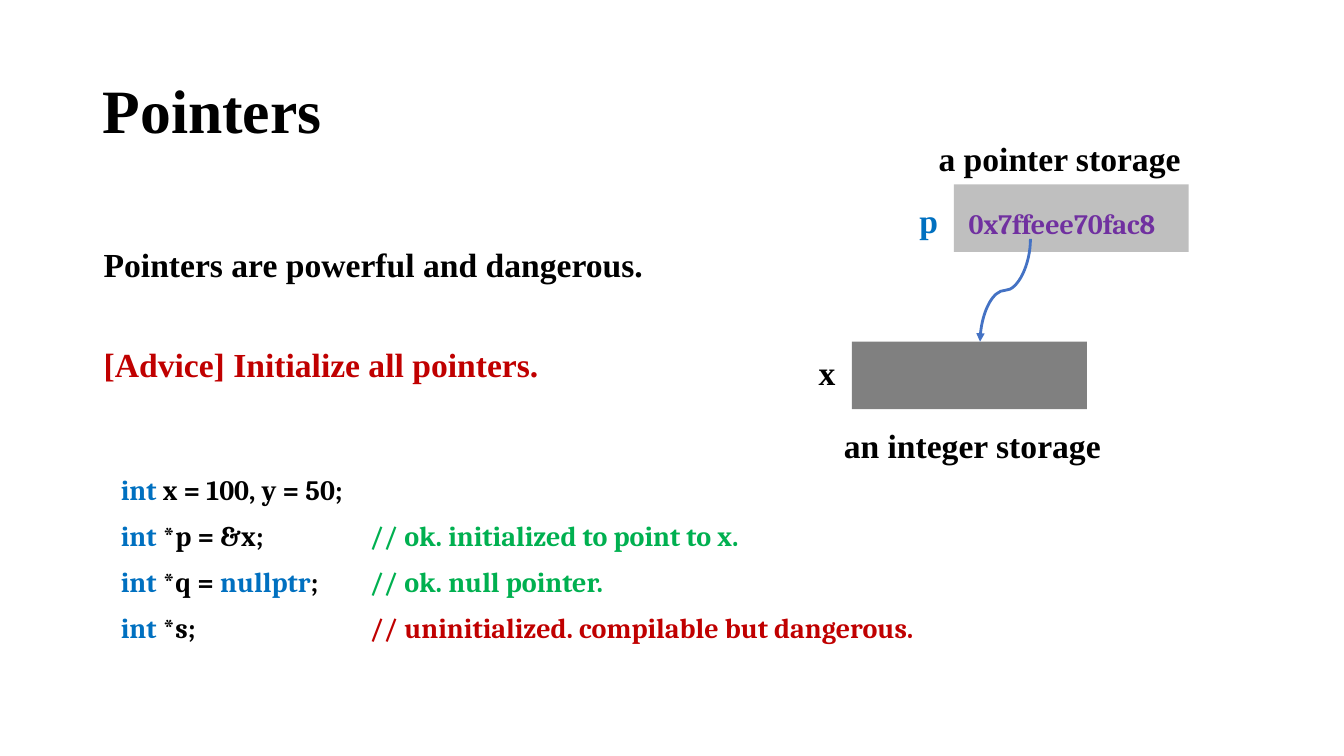
from pptx import Presentation
from pptx.dml.color import RGBColor
from pptx.enum.shapes import MSO_CONNECTOR, MSO_SHAPE
from pptx.enum.text import MSO_ANCHOR, PP_ALIGN
from pptx.oxml.ns import qn
from pptx.util import Inches, Pt
from lxml import etree

CURVE = MSO_CONNECTOR.CURVE
RECTANGLE = MSO_SHAPE.RECTANGLE
MIDDLE, TOP = MSO_ANCHOR.MIDDLE, MSO_ANCHOR.TOP
LEFT, JUSTIFY = PP_ALIGN.LEFT, PP_ALIGN.JUSTIFY

BLACK = RGBColor(0x00, 0x00, 0x00)
BLUE = RGBColor(0x00, 0x70, 0xC0)
GREEN = RGBColor(0x00, 0xB0, 0x50)
RED = RGBColor(0xC0, 0x00, 0x00)
PURPLE = RGBColor(0x70, 0x30, 0xA0)
ARROW_BLUE = RGBColor(0x44, 0x72, 0xC4)
LIGHT_GRAY = RGBColor(0xBF, 0xBF, 0xBF)
DARK_GRAY = RGBColor(0x80, 0x80, 0x80)
SERIF, CODE_FONT = "Times New Roman", "Cambria"

# Content: positions are left, top, width, height in inches
TITLE = ("Pointers", (0.92, 0.4, 11.5, 1.45))
STORAGE_CELLS = [
    ((8.45, 3.39), DARK_GRAY),
    ((9.46, 1.83), LIGHT_GRAY),
]
CELL_SIZE = (2.33, 0.67)
LABELS = [
    ("Pointers are powerful and dangerous.", (0.93, 2.17, 10, 0.63), BLACK, SERIF, 24),
    ("[Advice] Initialize all pointers.", (0.93, 3.16, 10, 0.63), RED, SERIF, 24),
    ("x", (8.02, 3.24, 0.44, 0.63), BLACK, SERIF, 24),
    ("an integer storage", (8.27, 3.97, 2.89, 0.63), BLACK, SERIF, 24),
    ("p", (9.02, 1.73, 0.44, 0.63), BLUE, SERIF, 24),
    ("0x7ffeee70fac8", (9.51, 1.83, 2.53, 0.54), PURPLE, CODE_FONT, 20),
    ("a pointer storage", (9.21, 1.12, 2.78, 0.63), BLACK, SERIF, 24),
]
CODE_PLACE = (1.1, 4.52, 8.93, 1.9)
COMMENT_TAB = 2.47
CODE_LINES = [
    [("int ", BLUE), ("x = 100, y = 50;", BLACK)],
    [("int", BLUE), (" *p = &x;\t", BLACK),
     ("// ok. initialized to point to x.", GREEN)],
    [("int", BLUE), (" *q = ", BLACK), ("nullptr", BLUE), (";\t", BLACK),
     ("// ok. null pointer.", GREEN)],
    [("int", BLUE), (" *s;\t", BLACK),
     ("// uninitialized. compilable but dangerous.", RED)],
]
ARROW_START, ARROW_END = (10.22, 2.37), (9.72, 3.39)


def add_text(page, lines, place, font_name, size, spacing,
             align=JUSTIFY, anchor=TOP, tab=None):
    box = page.shapes.add_textbox(*map(Inches, place))
    frame = box.text_frame
    frame.word_wrap = True
    frame.vertical_anchor = anchor
    for index, line in enumerate(lines):
        para = frame.paragraphs[0] if index == 0 else frame.add_paragraph()
        para.alignment = align
        para.line_spacing = spacing
        if tab:
            tabs = etree.SubElement(para._p.get_or_add_pPr(), qn("a:tabLst"))
            etree.SubElement(tabs, qn("a:tab"), pos=str(Inches(tab)), algn="l")
        for text, color in line:
            span = para.add_run()
            span.text = text
            span.font.name = font_name
            span.font.size = Pt(size)
            span.font.bold = True
            span.font.color.rgb = color


def add_cell(page, corner, color):
    cell = page.shapes.add_shape(RECTANGLE, *map(Inches, corner + CELL_SIZE))
    cell.shadow.inherit = False
    cell.fill.solid()
    cell.fill.fore_color.rgb = color
    cell.line.fill.background()


def add_curved_arrow(page, start, end):
    # A quarter turn makes the curve leave and arrive vertically
    middle_x, middle_y = (start[0] + end[0]) / 2, (start[1] + end[1]) / 2
    half_length, half_width = (end[1] - start[1]) / 2, (start[0] - end[0]) / 2
    arrow = page.shapes.add_connector(
        CURVE,
        Inches(middle_x - half_length), Inches(middle_y - half_width),
        Inches(middle_x + half_length), Inches(middle_y + half_width))
    arrow.line.color.rgb = ARROW_BLUE
    arrow.line.width = Pt(2)
    properties = arrow._element.spPr
    properties.find(qn("a:xfrm")).set("rot", str(90 * 60000))
    etree.SubElement(properties.find(qn("a:ln")), qn("a:tailEnd"), type="triangle")
    etree.SubElement(properties, qn("a:effectLst"))


def main():
    deck = Presentation()
    deck.slide_width, deck.slide_height = Inches(13.33), Inches(7.5)
    page = deck.slides.add_slide(deck.slide_layouts[6])

    # Title and code
    title, title_place = TITLE
    add_text(page, [[(title, BLACK)]], title_place, SERIF, 44, 0.9, LEFT, MIDDLE)
    add_text(page, CODE_LINES, CODE_PLACE, CODE_FONT, 20, Pt(32.8), tab=COMMENT_TAB)

    # Memory diagram and statements
    for corner, color in STORAGE_CELLS:
        add_cell(page, corner, color)
    for text, place, color, font_name, size in LABELS:
        add_text(page, [[(text, color)]], place, font_name, size, 1.5)
    add_curved_arrow(page, ARROW_START, ARROW_END)

    deck.save("out.pptx")


if __name__ == "__main__":
    main()
